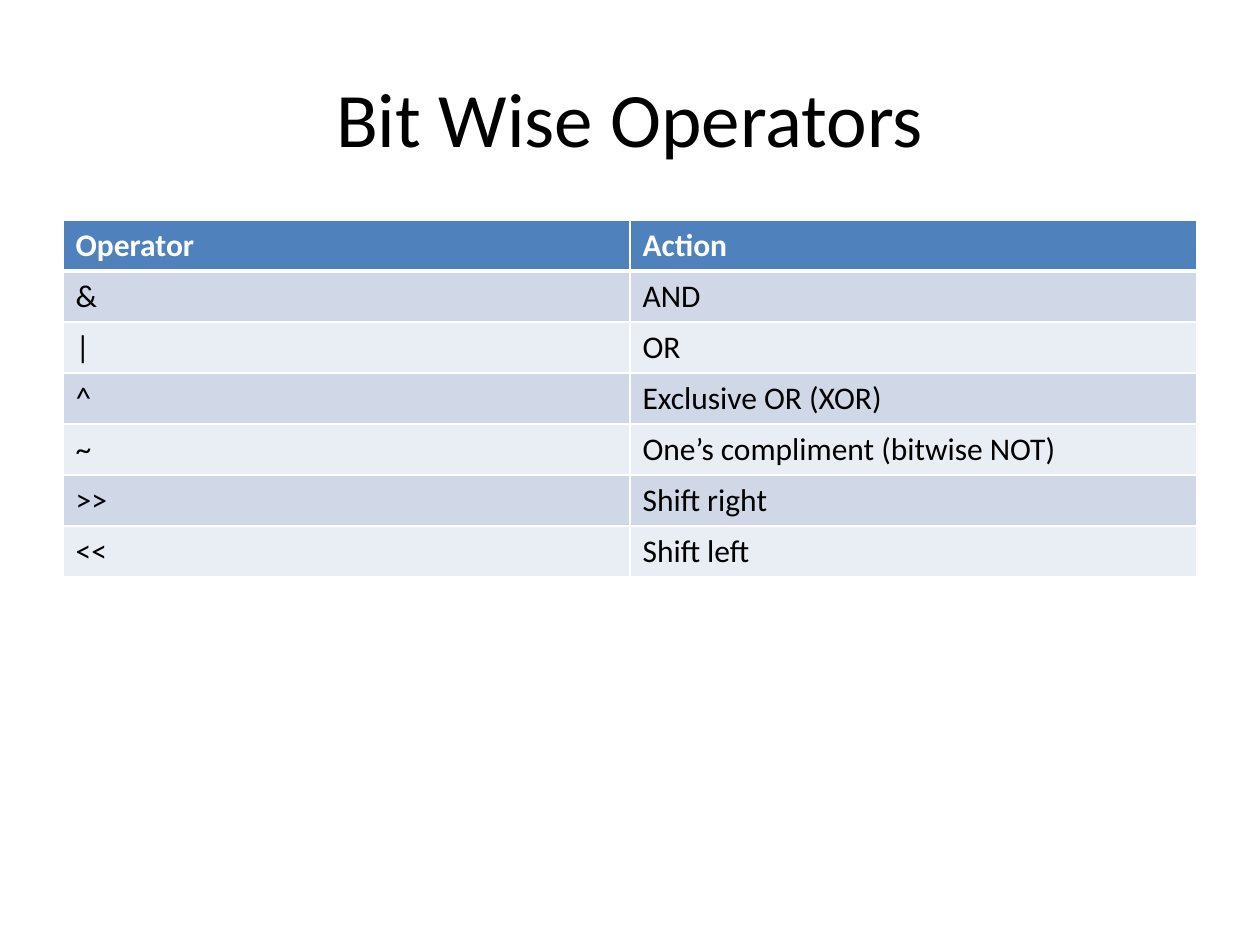
from lxml.etree import SubElement
from pptx import Presentation
from pptx.dml.color import RGBColor
from pptx.enum.text import MSO_ANCHOR, PP_ALIGN
from pptx.oxml.ns import qn
from pptx.util import Pt

SCALE = 914400 / 126
FONT = "Calibri"
ROWS = [
    ("Operator", "Action"),
    ("&", "AND"),
    ("|", "OR"),
    ("^", "Exclusive OR (XOR)"),
    ("~", "One’s compliment (bitwise NOT)"),
    (">>", "Shift right"),
    ("<<", "Shift left"),
]
ROW_HEIGHT = 51


def px(*lengths):
    return [round(length * SCALE) for length in lengths]


def color(hex_string):
    return RGBColor.from_string(hex_string)


presentation = Presentation()
presentation.slide_width, presentation.slide_height = px(1260, 945)
slide = presentation.slides.add_slide(presentation.slide_layouts[6])

title = slide.shapes.add_textbox(*px(63, 38, 1134, 157))
title.text_frame.word_wrap = True
title.text_frame.vertical_anchor = MSO_ANCHOR.MIDDLE
paragraph = title.text_frame.paragraphs[0]
paragraph.text = "Bit Wise Operators"
paragraph.alignment = PP_ALIGN.CENTER
paragraph.font.name = FONT
paragraph.font.size = Pt(44)
paragraph.font.color.rgb = color("000000")

table = slide.shapes.add_table(
    len(ROWS), 2, *px(63, 220, 1134, ROW_HEIGHT * len(ROWS))
).table

for row_index, texts in enumerate(ROWS):
    is_header = row_index == 0
    fill = "4F81BD" if is_header else ("E9EDF4", "D0D8E8")[row_index % 2]
    widths = {
        "a:lnL": 1,
        "a:lnR": 1,
        "a:lnT": 3 if row_index == 1 else 1,
        "a:lnB": 3 if is_header else 1,
    }
    for column_index, text in enumerate(texts):
        cell = table.cell(row_index, column_index)
        properties = cell._tc.get_or_add_tcPr()
        for tag, width in widths.items():
            border = SubElement(properties, qn(tag), w=str(Pt(width)))
            border_fill = SubElement(border, qn("a:solidFill"))
            SubElement(border_fill, qn("a:srgbClr"), val="FFFFFF")
        cell.fill.solid()
        cell.fill.fore_color.rgb = color(fill)
        cell.text = text
        font = cell.text_frame.paragraphs[0].font
        font.name = FONT
        font.size = Pt(18)
        font.bold = is_header
        font.color.rgb = color("FFFFFF" if is_header else "000000")

presentation.save("out.pptx")
